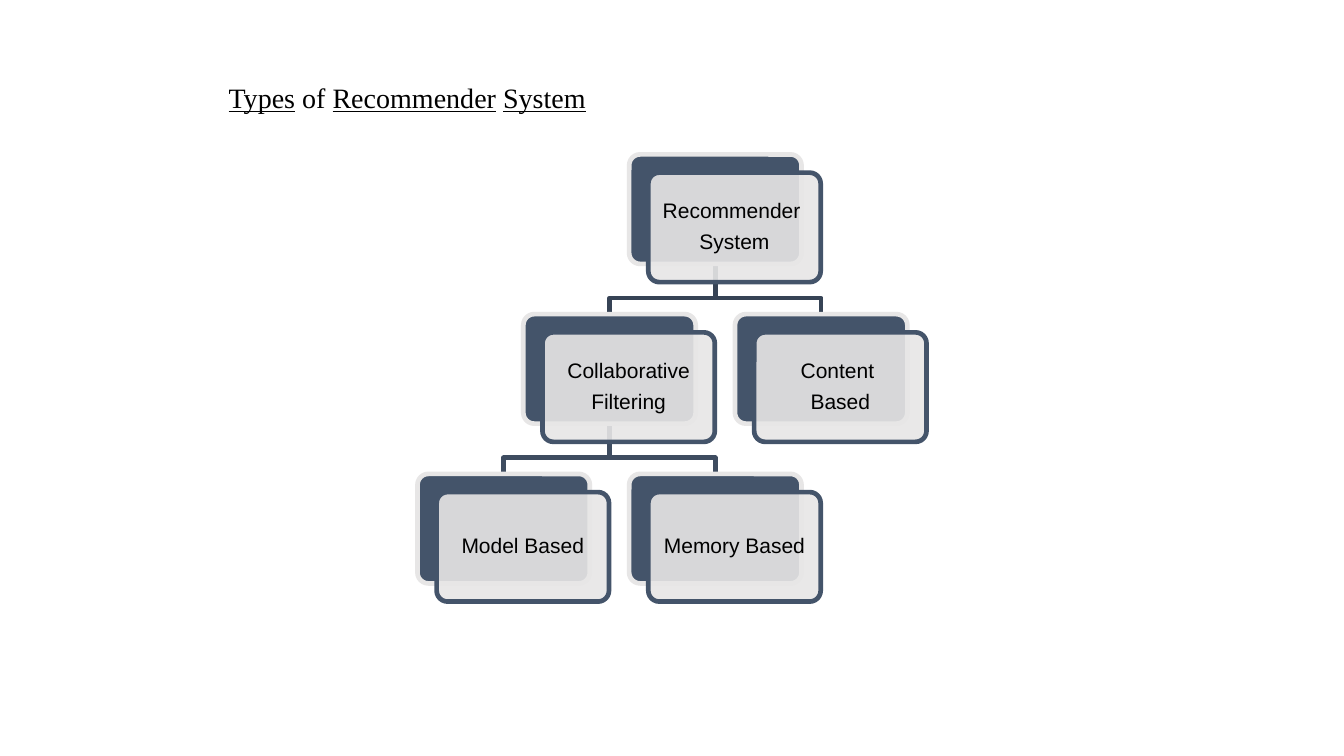
from dataclasses import dataclass

from lxml import etree
from pptx import Presentation
from pptx.dml.color import RGBColor
from pptx.enum.shapes import MSO_SHAPE
from pptx.enum.text import MSO_ANCHOR, MSO_AUTO_SIZE, PP_ALIGN
from pptx.oxml.ns import qn
from pptx.shapes.autoshape import Shape
from pptx.slide import Slide
from pptx.util import Pt

ROUND = MSO_SHAPE.ROUNDED_RECTANGLE
MIDDLE = MSO_ANCHOR.MIDDLE
CENTER = PP_ALIGN.CENTER
GROW = MSO_AUTO_SIZE.SHAPE_TO_FIT_TEXT

NAVY = RGBColor(0x44, 0x54, 0x6A)
GREY = RGBColor(0xE7, 0xE6, 0xE6)
BLACK = RGBColor(0, 0, 0)
DARK = RGBColor(0x36, 0x43, 0x55)
SLATE = RGBColor(0x3E, 0x4C, 0x60)

# Tree layout, in points
LEFT, TOP = 298.2, 110.3
COL, ROW = 75.6, 114.1
WIDE, HIGH = 123.1, 78.2
SHIFT_X, SHIFT_Y = 13.7, 13
BEND = 24.4
LINE = 3.35
INSET = 6.6


@dataclass(frozen=True)
class Node:
    col: int
    row: int
    lines: tuple[str, ...]

    @property
    def left(self) -> float:
        return LEFT + self.col * COL

    @property
    def top(self) -> float:
        return TOP + self.row * ROW

    @property
    def mid(self) -> float:
        return self.left + WIDE / 2


@dataclass(frozen=True)
class Link:
    start: Node
    end: Node
    color: RGBColor


ROOT = Node(2, 0, ("Recommender ", "System"))
COLLAB = Node(1, 1, ("Collaborative", "Filtering"))
MODEL = Node(0, 2, ("Model Based",))
MEMORY = Node(2, 2, ("Memory Based",))
CONTENT = Node(3, 1, ("Content ", "Based"))
NODES = (ROOT, COLLAB, MODEL, MEMORY, CONTENT)
LINKS = (
    Link(ROOT, CONTENT, DARK),
    Link(COLLAB, MEMORY, SLATE),
    Link(COLLAB, MODEL, SLATE),
    Link(ROOT, COLLAB, DARK),
)
# Title words, each with its underline
TITLE = (("Types", True), (" of ", False), ("Recommender", True),
         (" ", False), ("System", True))


def draw_link(slide: Slide, link: Link) -> None:
    base = link.start.top + HIGH
    turn = base + BEND
    begin, end = link.start.mid, link.end.mid
    path = slide.shapes.build_freeform(Pt(begin), Pt(base))
    points = ((begin, turn), (end, turn), (end, link.end.top))
    path.add_line_segments([(Pt(x), Pt(y)) for x, y in points], close=False)
    shape = path.convert_to_shape()
    shape.shadow.inherit = False
    shape.fill.background()
    shape.line.color.rgb = link.color
    shape.line.width = Pt(LINE)


def add_card(slide: Slide, left: float, top: float,
             fill: RGBColor, edge: RGBColor) -> Shape:
    card = slide.shapes.add_shape(ROUND, Pt(left), Pt(top), Pt(WIDE), Pt(HIGH))
    card.adjustments[0] = 0.1
    card.shadow.inherit = False
    card.fill.solid()
    card.fill.fore_color.rgb = fill
    card.line.color.rgb = edge
    card.line.width = Pt(LINE)
    return card


def set_alpha(shape: Shape, share: int) -> None:
    color = shape.element.spPr.find(qn("a:solidFill"))[0]
    etree.SubElement(color, qn("a:alpha")).set("val", str(share * 1000))


def draw_node(slide: Slide, node: Node) -> None:
    add_card(slide, node.left, node.top, NAVY, GREY)
    front = add_card(slide, node.left + SHIFT_X, node.top + SHIFT_Y, GREY, NAVY)
    set_alpha(front, 90)
    frame = front.text_frame
    frame.text = "\n".join(node.lines)
    frame.word_wrap = True
    frame.vertical_anchor = MIDDLE
    frame.margin_left = frame.margin_right = Pt(INSET)
    frame.margin_top = frame.margin_bottom = Pt(INSET)
    for para in frame.paragraphs:
        para.alignment = CENTER
        para.line_spacing = 0.9
        para.space_after = Pt(6)
        for run in para.runs:
            run.font.name = "Arial"
            run.font.size = Pt(15)
            run.font.color.rgb = BLACK


def draw_title(slide: Slide) -> None:
    box = slide.shapes.add_textbox(Pt(156.2), Pt(54), Pt(344.2), Pt(31.7))
    frame = box.text_frame
    frame.word_wrap = True
    frame.auto_size = GROW
    for word, under in TITLE:
        run = frame.paragraphs[0].add_run()
        run.text = word
        run.font.name = "Times New Roman"
        run.font.size = Pt(20)
        run.font.color.rgb = BLACK
        run.font.underline = under


def main() -> None:
    deck = Presentation()
    deck.slide_width, deck.slide_height = Pt(960), Pt(540)
    slide = deck.slides.add_slide(deck.slide_layouts[6])
    # Links lie behind the cards
    for link in LINKS:
        draw_link(slide, link)
    for node in NODES:
        draw_node(slide, node)
    draw_title(slide)
    deck.save("out.pptx")


if __name__ == "__main__":
    main()
